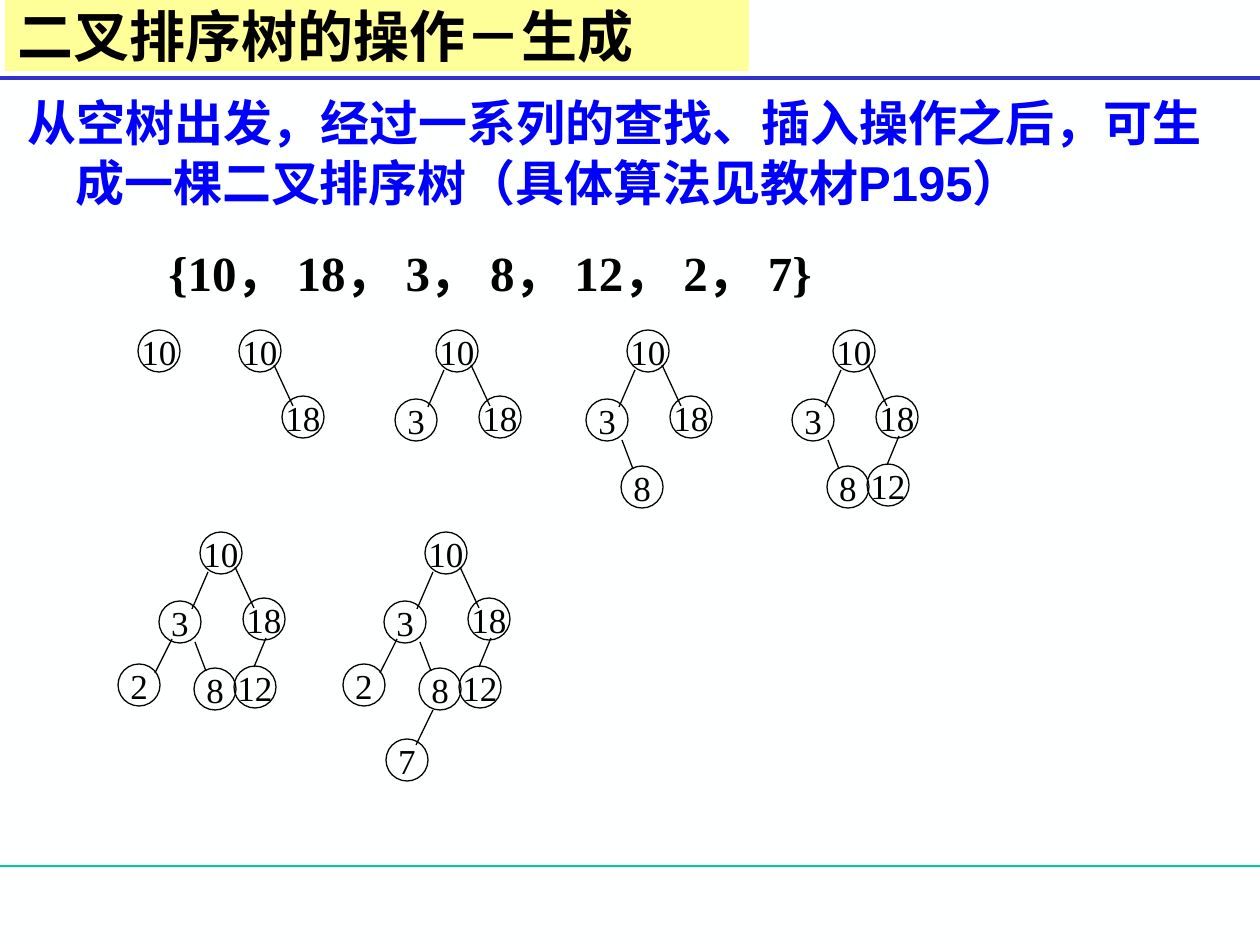
from lxml import etree
from pptx import Presentation
from pptx import util as u
from pptx.dml.color import RGBColor
from pptx.enum import shapes, text
from pptx.oxml import ns

PX = 914400 / 126
BLACK = RGBColor(0x00, 0x00, 0x00)
BLUE = RGBColor(0x00, 0x00, 0xFF)
RULE_BLUE = RGBColor(0x33, 0x33, 0xCC)
RULE_GREEN = RGBColor(0x00, 0xCC, 0x99)
YELLOW = RGBColor(0xFF, 0xFF, 0x99)
PAPER = RGBColor(0xFE, 0xFF, 0xFF)
CJK = "Noto Sans CJK SC"
SERIF = "Times New Roman"

NODE = 42
# Keys in insertion order: node offset, then edge start and end, all from the root's corner
NODES = {
    "10": ((0, 0), None),
    "18": ((43, 66), (35, 35, 54, 76)),
    "3": ((-41, 69), (8, 40, -8, 77)),
    "8": ((-6, 136), (-5, 110, 6, 139)),
    "12": ((34, 134), (66, 106, 54, 135)),
    "2": ((-82, 132), (-28, 107, -45, 141)),
    "7": ((-39, 207), (8, 178, -9, 213)),
}
ROOTS = [(138, 330), (239, 330), (436, 330), (627, 330), (833, 330),
         (200, 532), (425, 532)]


def px(*values):
    return [u.Emu(round(v * PX)) for v in values]


def add_run(p, words, size, font, color, bold=False):
    r = p.add_run()
    r.text = words
    r.font.size = u.Pt(size)
    r.font.name = font
    r.font.bold = bold
    r.font.color.rgb = color
    latin = r.font._element.find(ns.qn("a:latin"))
    ea = etree.Element(ns.qn("a:ea"), typeface=CJK)
    latin.addnext(ea)


def set_indent(p, margin, first):
    pPr = p._p.get_or_add_pPr()
    pPr.set("marL", str(px(margin)[0]))
    pPr.set("indent", str(px(first)[0]))


def add_line(parent, x1, y1, x2, y2, color, width):
    line = parent.add_connector(shapes.MSO_CONNECTOR.STRAIGHT, *px(x1, y1, x2, y2))
    line.line.color.rgb = color
    line.line.width = u.Pt(width)
    etree.SubElement(line._element.spPr, ns.qn("a:effectLst"))


def add_title(s, x, y, w, h):
    sp = s.shapes.add_shape(shapes.MSO_SHAPE.RECTANGLE, *px(x, y, w, h))
    sp.shadow.inherit = False
    sp.fill.solid()
    sp.fill.fore_color.rgb = YELLOW
    sp.line.fill.background()
    tf = sp.text_frame
    tf.word_wrap = True
    tf.vertical_anchor = text.MSO_ANCHOR.MIDDLE
    p = tf.paragraphs[0]
    p.alignment = text.PP_ALIGN.LEFT
    add_run(p, "二叉排序树的操作－生成", 32, CJK, BLACK, True)


def add_statement(s, x, y, w, h):
    tf = s.shapes.add_textbox(*px(x, y, w, h)).text_frame
    tf.word_wrap = True
    tf.margin_top = px(10)[0]
    p = tf.paragraphs[0]
    p.line_spacing = u.Pt(34)
    set_indent(p, 48, -48)
    add_run(p, "从空树出发，经过一系列的查找、插入操作之后，可生成一棵二叉排序树"
               "（具体算法见教材P195）", 28, "Arial", BLUE, True)


def add_sequence(s, x, y, w, h):
    tf = s.shapes.add_textbox(*px(x, y, w, h)).text_frame
    tf.word_wrap = True
    tf.margin_top, tf.margin_bottom = px(40, 0)
    tf.vertical_anchor = text.MSO_ANCHOR.MIDDLE
    p = tf.paragraphs[0]
    set_indent(p, 24, 0)
    add_run(p, "{" + "， ".join(NODES) + "}", 28, SERIF, BLACK, True)


def add_node(parent, x, y, key):
    sp = parent.add_shape(shapes.MSO_SHAPE.OVAL, *px(x, y, NODE, NODE))
    sp.shadow.inherit = False
    sp.fill.background()
    sp.line.color.rgb = BLACK
    sp.line.width = u.Pt(0.75)
    tf = sp.text_frame
    tf.word_wrap = False
    tf.margin_left = tf.margin_right = tf.margin_top = tf.margin_bottom = 0
    tf.vertical_anchor = text.MSO_ANCHOR.MIDDLE
    p = tf.paragraphs[0]
    p.alignment = text.PP_ALIGN.CENTER
    add_run(p, key, 20, SERIF, BLACK)


def add_tree(s, x, y, count):
    """Draw the tree after the first count keys are inserted, root corner at x, y."""
    parent = s.shapes.add_group_shape().shapes if count > 1 else s.shapes
    for key, ((dx, dy), edge) in list(NODES.items())[:count]:
        add_node(parent, x + dx, y + dy, key)
        if edge:
            x1, y1, x2, y2 = edge
            add_line(parent, x + x1, y + y1, x + x2, y + y2, BLACK, 0.75)


def main():
    prs = Presentation()
    prs.slide_width, prs.slide_height = px(1260, 945)
    s = prs.slides.add_slide(prs.slide_layouts[6])
    s.background.fill.solid()
    s.background.fill.fore_color.rgb = PAPER
    add_line(s.shapes, 0, 866, 1260, 866, RULE_GREEN, 0.75)
    add_line(s.shapes, 0, 78, 1260, 78, RULE_BLUE, 2.25)
    add_sequence(s, 132, 195, 1048, 113)
    for count, (x, y) in enumerate(ROOTS, 1):
        add_tree(s, x, y, count)
    add_statement(s, 15, 82, 1235, 131)
    add_title(s, 5, 0, 744, 71)
    prs.save("out.pptx")


if __name__ == "__main__":
    main()
